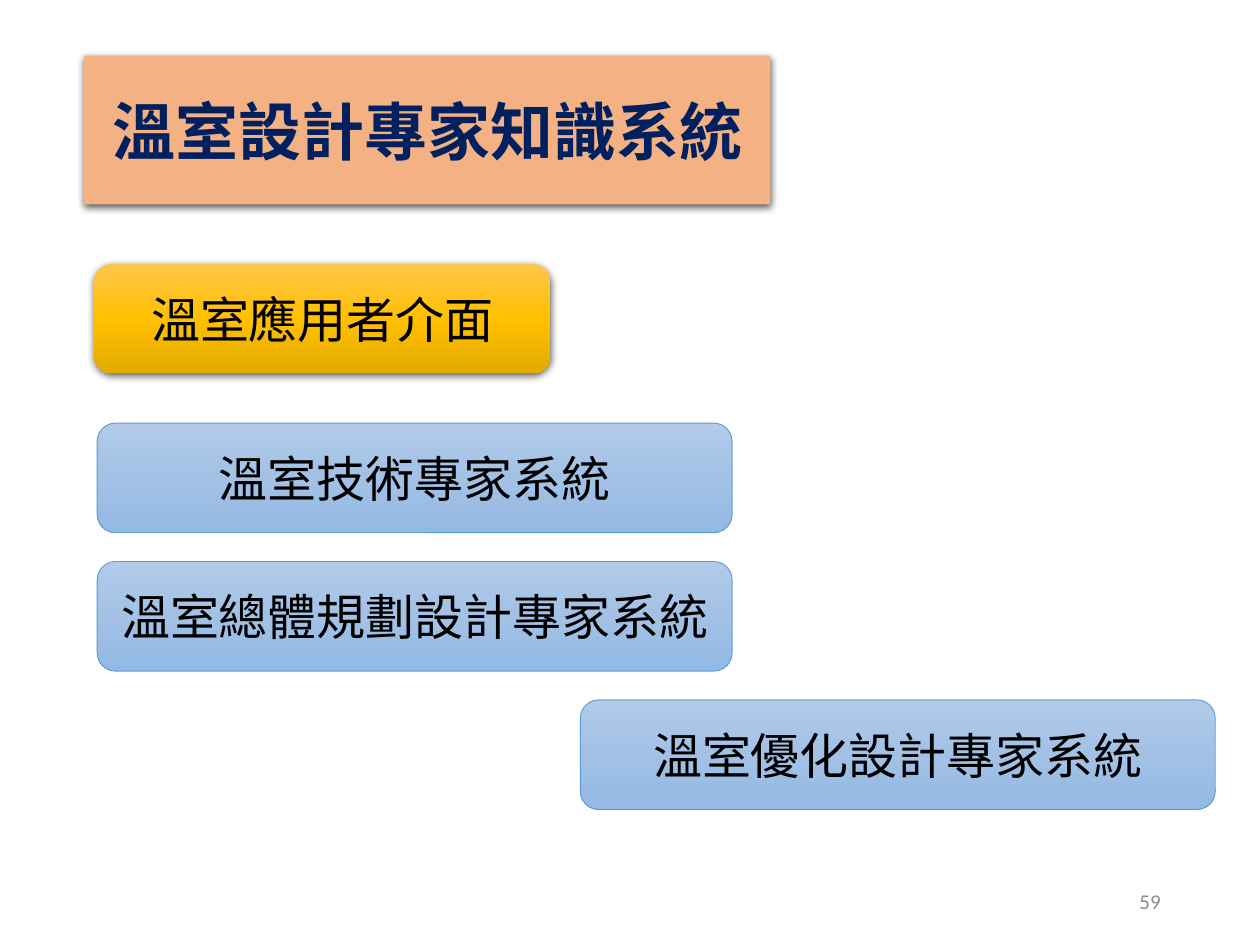
from copy import deepcopy

from lxml.etree import SubElement
from pptx import Presentation
from pptx.dml.color import RGBColor
from pptx.enum.shapes import MSO_SHAPE
from pptx.enum.text import MSO_ANCHOR, MSO_AUTO_SIZE, PP_ALIGN
from pptx.oxml import parse_xml
from pptx.oxml.ns import nsdecls, qn
from pptx.util import Cm, Pt

NAVY = RGBColor(0x00, 0x20, 0x60)
BLACK = RGBColor(0x00, 0x00, 0x00)
GRAY = RGBColor(0x8C, 0x8C, 0x8C)
PEACH = RGBColor(0xF4, 0xB1, 0x83)
BLUE_LINE = RGBColor(0x5B, 0x9B, 0xD5)
GOLDS = [RGBColor(0xFF, 0xC6, 0x4B), RGBColor(0xFF, 0xC0, 0x00), RGBColor(0xE3, 0xAB, 0x00)]
BLUES = [RGBColor(0xB1, 0xCB, 0xE9), RGBColor(0xA3, 0xC1, 0xE5), RGBColor(0x93, 0xB9, 0xE4)]

TITLE = "溫室設計專家知識系統"
INTERFACE = "溫室應用者介面"
SYSTEMS = [
    ("溫室技術專家系統", 1.96),
    ("溫室總體規劃設計專家系統", 1.96),
    ("溫室優化設計專家系統", 11.7),
]
PAGE_NUMBER = "59"

TITLE_BOX = (1.69, 1.12, 13.84, 3)
INTERFACE_BOX = (1.9, 5.32, 9.2, 2.21)
SYSTEM_TOP, SYSTEM_STEP = 8.53, 2.79
SYSTEM_WIDTH, SYSTEM_HEIGHT = 12.8, 2.21
PAGE_BOX = (17.93, 17.65, 5.72, 1.02)

TITLE_FONT = {"name": "Calibri", "size": Pt(36), "bold": True}
BOX_FONT = {"name": "Calibri", "size": Pt(28), "bold": False}
PAGE_FONT = {"name": "Calibri", "size": Pt(12), "bold": False}


def write(s, text, font, color, align=PP_ALIGN.CENTER):
    tf = s.text_frame
    for name, value in {"word_wrap": True, "auto_size": MSO_AUTO_SIZE.NONE,
                        "vertical_anchor": MSO_ANCHOR.MIDDLE}.items():
        setattr(tf, name, value)
    p = tf.paragraphs[0]
    p.alignment = align
    r = p.add_run()
    r.text = text
    for name, value in font.items():
        setattr(r.font, name, value)
    r.font.color.rgb = color


def fill_gradient(s, colors):
    s.fill.gradient()
    s.fill.gradient_angle = 270
    stops = s._element.spPr.find(qn("a:gradFill")).find(qn("a:gsLst"))
    stops.append(deepcopy(stops[-1]))
    for i, (stop, color) in enumerate(zip(s.fill.gradient_stops, colors)):
        stop.position = i / (len(colors) - 1)
        stop.color.rgb = color


def add_shadow(s):
    s.shadow.inherit = False
    effects = s._element.spPr.find(qn("a:effectLst"))
    shadow = SubElement(effects, qn("a:outerShdw"), blurRad=str(Pt(4.5)),
                        dist=str(Pt(1.5)), dir="5400000", algn="ctr", rotWithShape="0")
    color = SubElement(shadow, qn("a:srgbClr"), val="000000")
    SubElement(color, qn("a:alpha"), val="63000")


def add_box(sp, text, box, colors):
    s = sp.add_shape(MSO_SHAPE.ROUNDED_RECTANGLE, *map(Cm, box))
    s.shadow.inherit = False
    fill_gradient(s, colors)
    write(s, text, BOX_FONT, BLACK)
    return s


def add_title(s):
    s.left, s.top, s.width, s.height = map(Cm, TITLE_BOX)
    s._element.spPr.append(parse_xml(
        f'<a:prstGeom {nsdecls("a")} prst="roundRect"><a:avLst/></a:prstGeom>'))
    s.fill.solid()
    s.fill.fore_color.rgb = PEACH
    s.line.fill.background()
    add_shadow(s)
    write(s, TITLE, TITLE_FONT, NAVY)


def main():
    prs = Presentation()
    prs.slide_width, prs.slide_height = Cm(25.4), Cm(19.05)
    sp = prs.slides.add_slide(prs.slide_layouts[5]).shapes

    add_title(sp.title)

    interface = add_box(sp, INTERFACE, INTERFACE_BOX, GOLDS)
    interface.line.fill.background()
    add_shadow(interface)

    for i, (text, left) in enumerate(SYSTEMS):
        top = SYSTEM_TOP + i * SYSTEM_STEP
        s = add_box(sp, text, (left, top, SYSTEM_WIDTH, SYSTEM_HEIGHT), BLUES)
        s.line.color.rgb = BLUE_LINE
        s.line.width = Pt(0.5)

    page = sp.add_textbox(*map(Cm, PAGE_BOX))
    write(page, PAGE_NUMBER, PAGE_FONT, GRAY, PP_ALIGN.RIGHT)

    prs.save("out.pptx")


if __name__ == "__main__":
    main()
